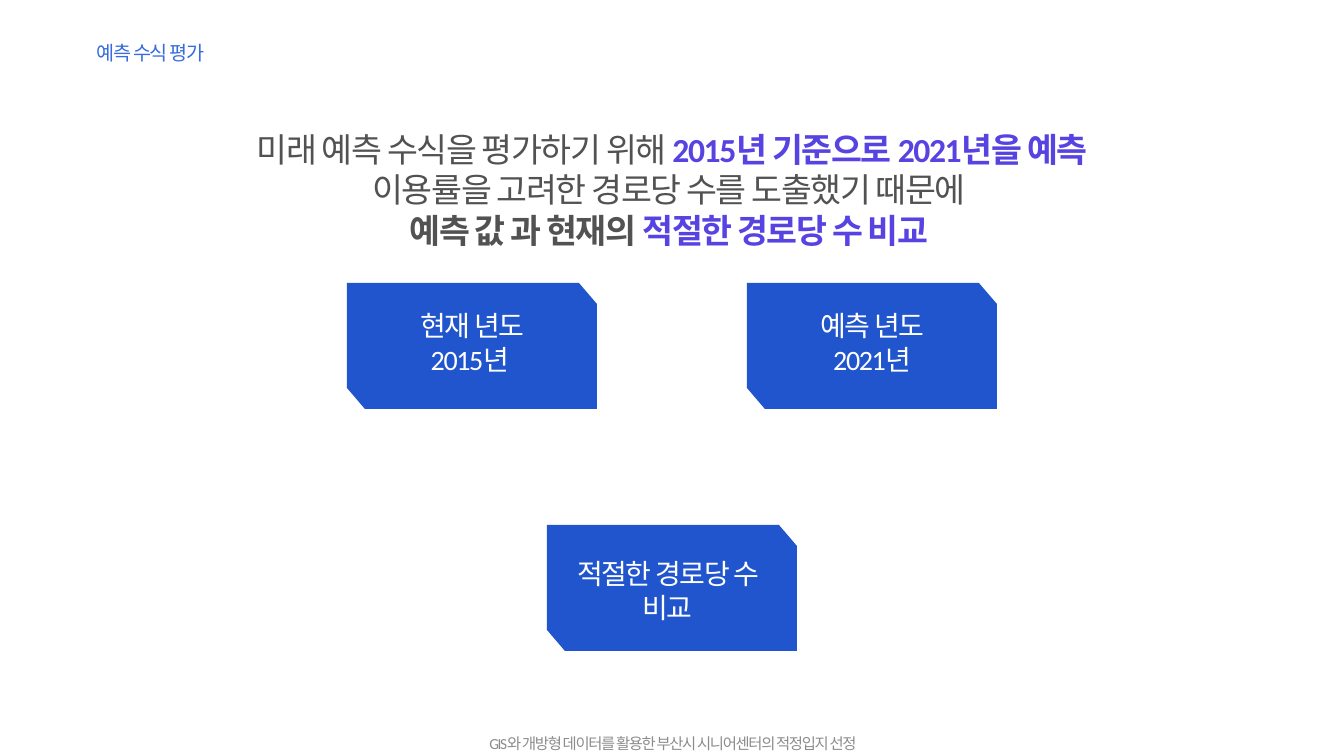
from pptx import Presentation
from pptx import util as u
from pptx.dml.color import RGBColor
from pptx.enum import text

PX = 914400 / 100.8
BLUE, VIOLET, GREY, WHITE = "2155CD", "5643E2", "525252", "FFFFFF"


def px(n):
    return u.Emu(round(n * PX))


def color(code):
    return RGBColor.from_string(code)


def write(slide, box, lines, size, tint, center=True, inset=True):
    """Each line is a list of (words, colour or None, bold) runs."""
    shape = slide.shapes.add_textbox(*map(px, box))
    frame = shape.text_frame
    frame.word_wrap = True
    frame.auto_size = text.MSO_AUTO_SIZE.NONE
    if not inset:
        frame.margin_left = frame.margin_right = 0
        frame.margin_top = frame.margin_bottom = 0
    for i, line in enumerate(lines):
        para = frame.add_paragraph() if i else frame.paragraphs[0]
        para.alignment = text.PP_ALIGN.CENTER if center else text.PP_ALIGN.LEFT
        for words, own, bold in line:
            run = para.add_run()
            run.text = words
            font = run.font
            font.name, font.size, font.bold = "Calibri", u.Pt(size), bold
            font.color.rgb = color(own or tint)
            run._r.get_or_add_rPr().set("spc", "-100")


def plain(*lines):
    return [[(words, None, False)] for words in lines]


def header(slide, box):
    write(slide, box, plain("예측 수식 평가"), 14, "366CDD", center=False)


def summary(slide, box):
    lines = [
        [("미래 예측 수식을 평가하기 위해 ", None, False),
         ("2015년 기준으로 2021년을 예측", VIOLET, True)],
        [("이용률을 고려한 경로당 수를 도출했기 때문에 ", None, False)],
        [("예측 값 과 현재의 ", None, True),
         ("적절한 경로당 수 비교 ", VIOLET, True)],
    ]
    write(slide, box, lines, 24, GREY)


def card(slide, box, label, lines):
    """Label is the text box, measured from the card's corner."""
    x, y, w, h = box
    cut, drop = 18, 21
    form = slide.shapes.build_freeform(x + w - cut, y, scale=PX)
    form.add_line_segments([(x, y), (x, y + h - drop), (x + cut, y + h),
                            (x + w, y + h), (x + w, y + drop)])
    shape = form.convert_to_shape()
    shape.shadow.inherit = False
    shape.fill.solid()
    shape.fill.fore_color.rgb = color(BLUE)
    shape.line.fill.background()
    left, top, wide, high = label
    write(slide, (x + left, y + top, wide, high), plain(*lines), 20, WHITE)


def cards(slide, box):
    x, y, w, h = box
    wide, high = 250, 126
    mid, right, low = x + (w - wide) // 2, x + w - wide, y + h - high
    pair, single = (23, 21, 205, 78), (1, 27, 239, 78)
    for left, top, label, lines in [
        (x, y, pair, ("현재 년도", "2015년 ")),
        (right, y, pair, ("예측 년도", "2021년")),
        (mid, low, single, ("적절한 경로당 수 비교",)),
    ]:
        card(slide, (left, top, wide, high), label, lines)


def footer(slide, box):
    words = "GIS와 개방형 데이터를 활용한 부산시 시니어센터의 적정입지 선정"
    write(slide, box, plain(words), 11, "8C8C8C", inset=False)


def main():
    deck = Presentation()
    deck.slide_width, deck.slide_height = px(1344), px(756)
    slide = deck.slides.add_slide(deck.slide_layouts[6])
    header(slide, (87, 36, 367, 34))
    footer(slide, (458, 734, 430, 19))
    summary(slide, (0, 124, 1344, 132))
    cards(slide, (347, 283, 650, 368))
    deck.save("out.pptx")


if __name__ == "__main__":
    main()
